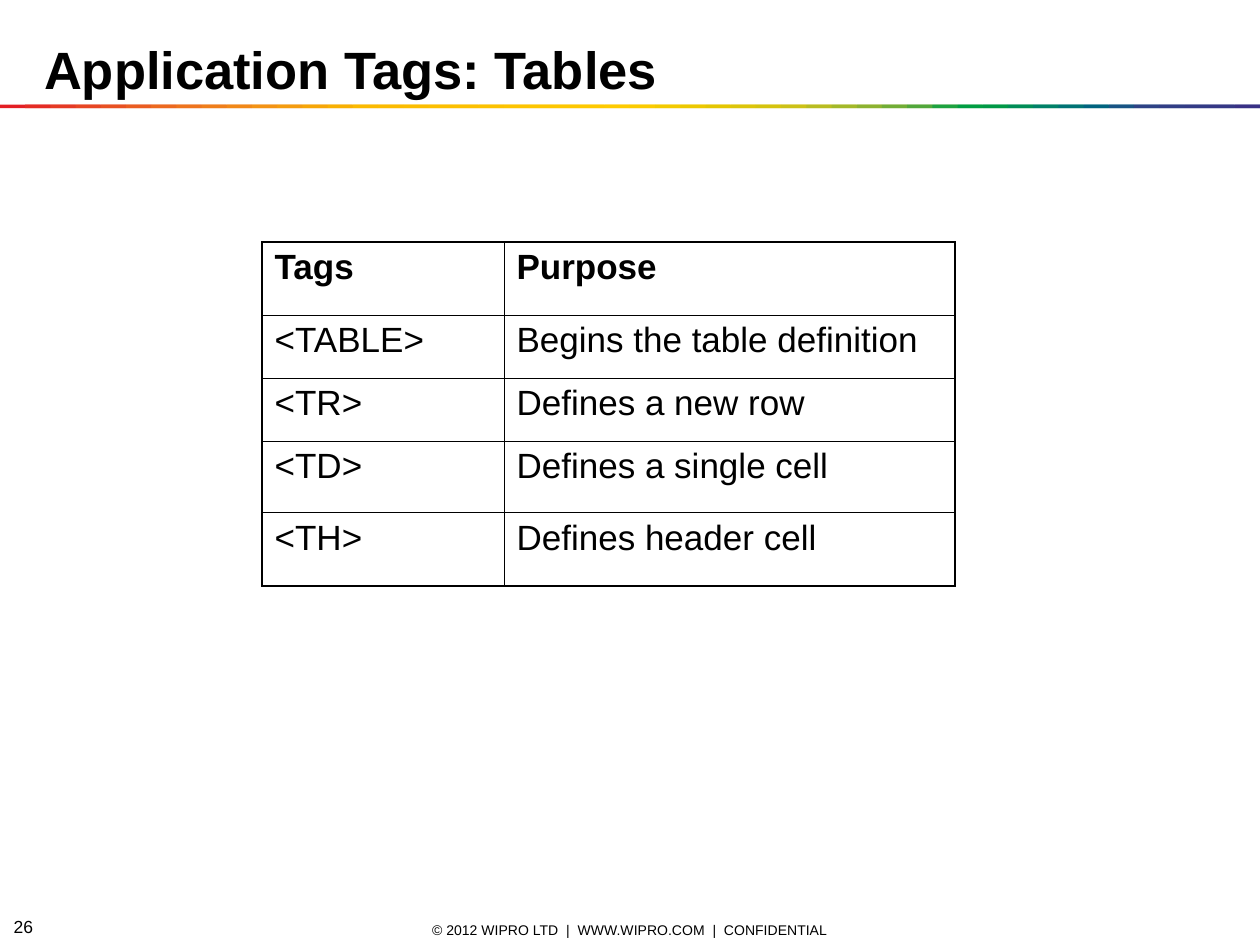
from pptx import Presentation
from pptx.dml.color import RGBColor
from pptx.enum.shapes import MSO_SHAPE as Shape
from pptx.enum.text import MSO_ANCHOR as Anchor, PP_ALIGN as Align
from pptx.oxml import parse_xml
from pptx.oxml.ns import nsdecls
from pptx.util import Inches, Pt

# Content
TITLE = "Application Tags: Tables"
FOOTER = "© 2012 WIPRO LTD  |  WWW.WIPRO.COM  |  CONFIDENTIAL"
PAGE = "26"
ROWS = [
    ("Tags", "Purpose"),
    ("<TABLE>", "Begins the table definition"),
    ("<TR>", "Defines a new row"),
    ("<TD>", "Defines a single cell"),
    ("<TH>", "Defines header cell"),
]

# Look
BLACK = RGBColor(0, 0, 0)
BAND = [RGBColor.from_string(code) for code in """
    E31E24 E42C24 E53A24 E74623 E85122 EA5D21 EC691F EE741D EF7E1A F18817
    F39314 F49C0F F6A607 F8B002 FBBA00 FBBB00 FBBD00 FCBF00 FCC000 FCC200
    FDC400 FDC600 FDC700 FEC900 FECB00 FBCB00 F3CA00 ECC800 E4C602 DCC50A
    D5C30E CCC117 B8BC21 A3B829 8CB230 71AD36 51A73B 1DA240 009D43 009846
    008C57 008068 007275 00637F 185384 2E4285 313E85 333B85 353885 393185
""".split()]
WIDE, HIGH = 10, 7.5
WIDTHS = [1.92, 3.58]
HEIGHTS = [0.58, 0.5, 0.5, 0.57, 0.58]
OUTER, INNER = 1.08, 0.45


def write(frame, text, size, bold=False, align=Align.LEFT):
    frame.text = text
    para = frame.paragraphs[0]
    para.alignment = align
    look = {"name": "Arial", "size": Pt(size), "bold": bold}
    for key, value in look.items():
        setattr(para.font, key, value)
    para.font.color.rgb = BLACK


def label(slide, box, text, size, align=Align.LEFT):
    frame = slide.shapes.add_textbox(*map(Inches, box)).text_frame
    frame.word_wrap = True
    frame.vertical_anchor = Anchor.MIDDLE
    write(frame, text, size, align=align)


def border(cell, edges):
    props = cell._tc.get_or_add_tcPr()
    for spot, (side, width) in enumerate(edges.items()):
        props.insert(spot, parse_xml(
            f'<a:ln{side} {nsdecls("a")} w="{Pt(width)}"><a:solidFill>'
            f'<a:srgbClr val="{BLACK}"/></a:solidFill></a:ln{side}>'))


def draw_band(slide):
    group = slide.shapes.add_group_shape()
    step = WIDE / len(BAND)
    for i, color in enumerate(BAND):
        left = i * step
        width = min(2 * step, WIDE - left)
        strip = group.shapes.add_shape(
            Shape.RECTANGLE, *map(Inches, (left, 0.83, width, 0.03)))
        strip.shadow.inherit = False
        strip.fill.solid()
        strip.fill.fore_color.rgb = color
        strip.line.fill.background()


def draw_table(slide):
    box = (2.08, 1.92, sum(WIDTHS), sum(HEIGHTS))
    table = slide.shapes.add_table(
        len(ROWS), len(WIDTHS), *map(Inches, box)).table
    table.horz_banding = False
    for col, width in zip(table.columns, WIDTHS):
        col.width = Inches(width)
    for row, height in zip(table.rows, HEIGHTS):
        row.height = Inches(height)
    last_row, last_col = len(ROWS) - 1, len(WIDTHS) - 1
    for r, row in enumerate(ROWS):
        for c, text in enumerate(row):
            cell = table.cell(r, c)
            cell.fill.background()
            write(cell.text_frame, text, 20, bold=r == 0)
            ends = {"L": c == 0, "R": c == last_col,
                    "T": r == 0, "B": r == last_row}
            border(cell, {side: OUTER if end else INNER
                          for side, end in ends.items()})


def main():
    deck = Presentation()
    deck.slide_width, deck.slide_height = Inches(WIDE), Inches(HIGH)
    slide = deck.slides.add_slide(deck.slide_layouts[5])

    # Footer and page number
    label(slide, (3.3, 7.28, 3.4, 0.2), FOOTER, 8, Align.CENTER)
    label(slide, (0.01, 7.27, 0.39, 0.16), PAGE, 10)

    # Rainbow rule, title and table
    draw_band(slide)
    title = slide.shapes.title
    place = {"left": 0.25, "top": 0.24, "width": 8.17, "height": 0.6}
    for key, value in place.items():
        setattr(title, key, Inches(value))
    title.text_frame.vertical_anchor = Anchor.MIDDLE
    write(title.text_frame, TITLE, 30, bold=True)
    draw_table(slide)

    deck.save("out.pptx")


if __name__ == "__main__":
    main()
